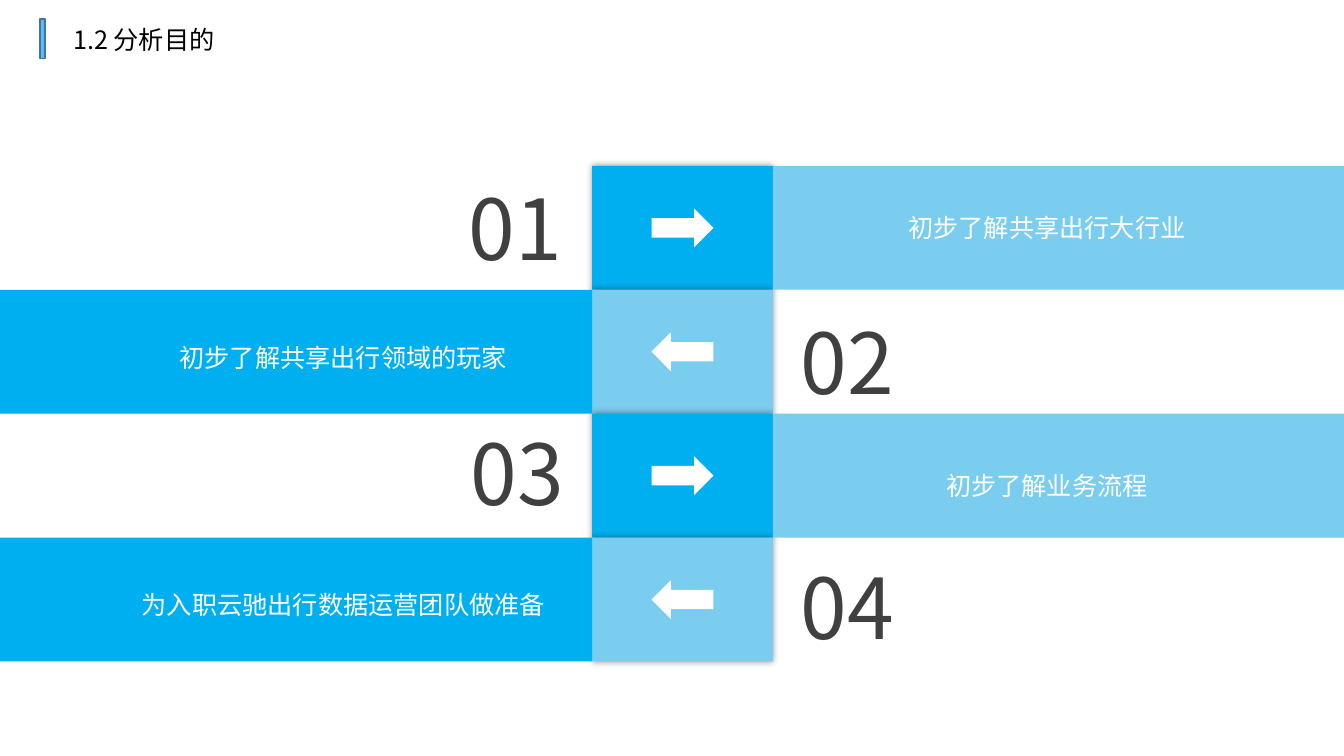
from lxml import etree
from pptx import Presentation
from pptx import util as u
from pptx.dml.color import RGBColor
from pptx.enum import shapes, text
from pptx.oxml.ns import qn

PX = 9525
FONT = "Noto Sans CJK SC"
COLORS = {
    "deep": "00AFF0",
    "pale": "7ACDEF",
    "white": "FFFFFF",
    "number": "404040",
    "title": "000000",
    "marker": "58BBFA",
    "marker_line": "43739E",
    "shadow": "000000",
}
SLIDE_WIDTH, SLIDE_HEIGHT = 1280, 720
ROWS_TOP, ROW_HEIGHT = 158, 118
CENTER_LEFT, CENTER_RIGHT = 564, 736
ARROW_WIDTH, ARROW_HEIGHT = 59, 37
NUMBER_SIZE = (142, 107)
CAPTION_SIZE = (438, 42)
CAPTION_LEFT = {"right": 778, "left": 108}
GOALS = [
    {"number": "01", "caption": "初步了解共享出行大行业", "side": "right",
     "number_at": (437, 5), "caption_top": 34},
    {"number": "02", "caption": "初步了解共享出行领域的玩家", "side": "left",
     "number_at": (753, 15), "caption_top": 40},
    {"number": "03", "caption": "初步了解业务流程", "side": "right",
     "number_at": (439, 3), "caption_top": 43},
    {"number": "04", "caption": "为入职云驰出行数据运营团队做准备", "side": "left",
     "number_at": (753, 12), "caption_top": 39},
]


def rgb(name):
    """Return the named colour."""
    return RGBColor.from_string(COLORS[name])


def to_emu(box):
    """Turn a box in px into EMU lengths."""
    return [u.Emu(round(length * PX)) for length in box]


def set_values(target, values):
    """Set every attribute given in a dict."""
    for name, value in values.items():
        setattr(target, name, value)


def add_block(slide, kind, box, color):
    """Add a plain filled shape without line or shadow."""
    shape = slide.shapes.add_shape(kind, *to_emu(box))
    shape.shadow.inherit = False
    shape.fill.solid()
    shape.fill.fore_color.rgb = rgb(color)
    shape.line.fill.background()
    return shape


def add_soft_shadow(shape):
    """Give a shape an even shadow around its edges."""
    effects = shape._element.spPr.find(qn("a:effectLst"))
    shadow = etree.SubElement(effects, qn("a:outerShdw"), blurRad=str(u.Pt(5)),
                              dist="0", dir="0", algn="ctr", rotWithShape="0")
    color = etree.SubElement(shadow, qn("a:srgbClr"), val=COLORS["shadow"])
    etree.SubElement(color, qn("a:alpha"), val="40000")


def write(shape, content, size, color, align=text.PP_ALIGN.LEFT, spacing=1.0,
          anchor=text.MSO_ANCHOR.TOP, wrap=True):
    """Write one formatted line into a shape."""
    frame = shape.text_frame
    set_values(frame, {"word_wrap": wrap, "vertical_anchor": anchor,
                       "auto_size": text.MSO_AUTO_SIZE.SHAPE_TO_FIT_TEXT})
    paragraph = frame.paragraphs[0]
    set_values(paragraph, {"alignment": align, "line_spacing": spacing})
    run = paragraph.add_run()
    run.text = content
    set_values(run.font, {"name": FONT, "size": u.Pt(size)})
    run.font.color.rgb = rgb(color)
    etree.SubElement(run.font._element, qn("a:ea"), typeface=FONT)


def add_heading(slide, box):
    """Place the marker bar and the title to its right."""
    left, top, width, height = box
    marker = add_block(slide, shapes.MSO_SHAPE.RECTANGLE, (left, top, 5, height), "marker")
    marker.line.color.rgb = rgb("marker_line")
    marker.line.width = u.Pt(1)
    title = slide.shapes.title
    names = ("left", "top", "width", "height")
    set_values(title, dict(zip(names, to_emu((left + 22, top, width - 22, height)))))
    write(title, "1.2 分析目的", 18, "title")


def add_center(slide, box, goal):
    """Place the shadowed centre block of a row."""
    color = "deep" if goal["side"] == "right" else "pale"
    add_soft_shadow(add_block(slide, shapes.MSO_SHAPE.RECTANGLE, box, color))


def add_row(slide, box, goal):
    """Place the band, arrow, number and caption of a row."""
    left, top, width, height = box
    if goal["side"] == "right":
        band = (CENTER_RIGHT, top, left + width - CENTER_RIGHT, height)
        color, kind = "pale", shapes.MSO_SHAPE.RIGHT_ARROW
    else:
        band = (left, top, CENTER_LEFT - left, height)
        color, kind = "deep", shapes.MSO_SHAPE.LEFT_ARROW
    add_block(slide, shapes.MSO_SHAPE.RECTANGLE, band, color)
    arrow_left = (CENTER_LEFT + CENTER_RIGHT - ARROW_WIDTH) / 2
    arrow_top = top + (height - ARROW_HEIGHT) / 2
    add_block(slide, kind, (arrow_left, arrow_top, ARROW_WIDTH, ARROW_HEIGHT), "white")
    number_left, number_top = goal["number_at"]
    number = slide.shapes.add_textbox(*to_emu((left + number_left, top + number_top, *NUMBER_SIZE)))
    write(number, goal["number"], 60, "number")
    caption_left = left + CAPTION_LEFT[goal["side"]]
    caption = slide.shapes.add_textbox(
        *to_emu((caption_left, top + goal["caption_top"], *CAPTION_SIZE)))
    write(caption, goal["caption"], 18, "white", text.PP_ALIGN.CENTER, 1.2)


def main():
    """Build and save the slide."""
    presentation = Presentation()
    presentation.slide_width, presentation.slide_height = to_emu((SLIDE_WIDTH, SLIDE_HEIGHT))
    slide = presentation.slides.add_slide(presentation.slide_layouts[5])
    add_heading(slide, (38, 18, 189, 38))
    tops = [ROWS_TOP + index * ROW_HEIGHT for index in range(len(GOALS))]
    for top, goal in zip(tops, GOALS):
        add_center(slide, (CENTER_LEFT, top, CENTER_RIGHT - CENTER_LEFT, ROW_HEIGHT), goal)
    for top, goal in zip(tops, GOALS):
        add_row(slide, (0, top, SLIDE_WIDTH, ROW_HEIGHT), goal)
    presentation.save("out.pptx")


if __name__ == "__main__":
    main()
